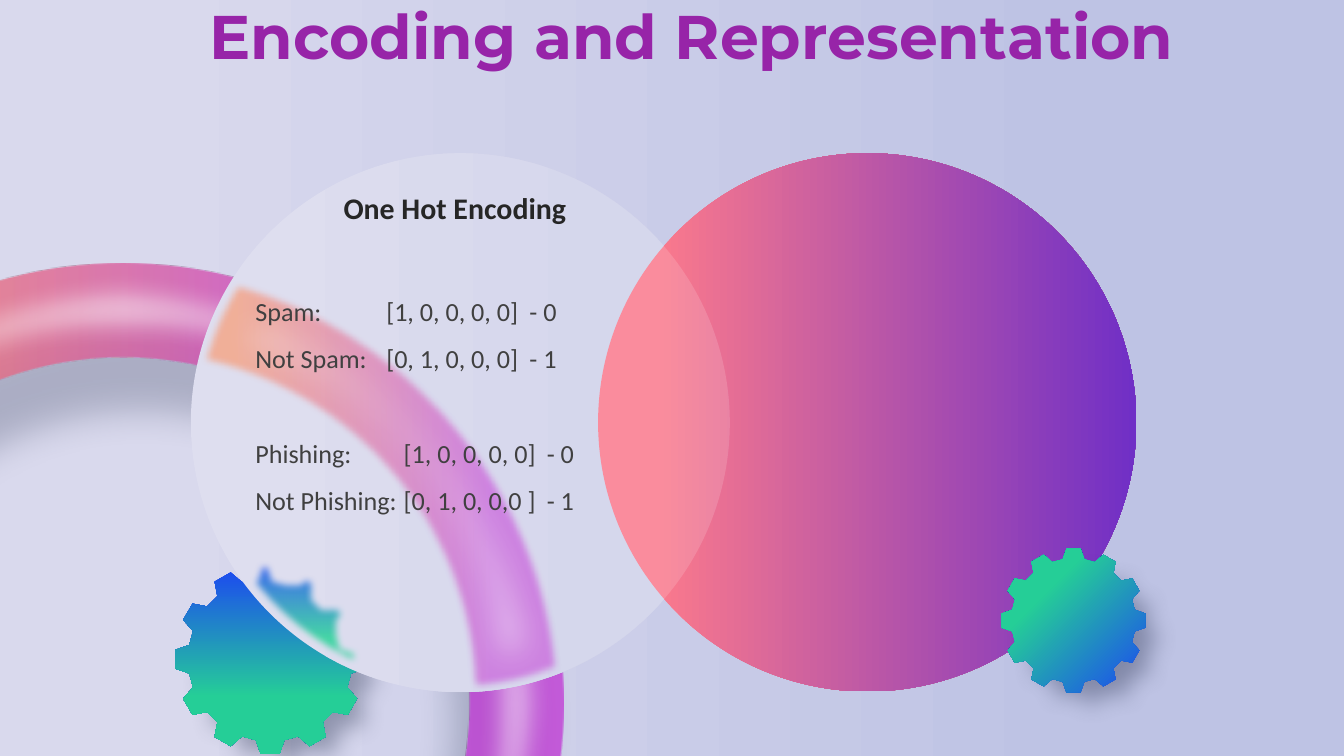
from collections import namedtuple
from math import cos, radians, sin

from lxml.etree import SubElement
from pptx import Presentation
from pptx.dml.color import RGBColor
from pptx.enum.shapes import MSO_SHAPE
from pptx.enum.text import MSO_ANCHOR, MSO_AUTO_SIZE, PP_ALIGN
from pptx.oxml.ns import qn
from pptx.util import Inches, Pt

Box = namedtuple("Box", "left top width height")
Shadow = namedtuple("Shadow", "color opacity blur distance angle scale")

COLUMNS, ROWS = 20, 11.25
CELL = Inches(1)

WHITE = RGBColor(0xFF, 0xFF, 0xFF)
BLACK = RGBColor(0x00, 0x00, 0x00)
GRAY = RGBColor(0x40, 0x40, 0x40)
PURPLE = RGBColor(0x97, 0x24, 0xA8)
NAVY = RGBColor(0x28, 0x32, 0x50)
MIST = ((11, RGBColor(0xD9, 0xD9, 0xED)), (80, RGBColor(0xBE, 0xC3, 0xE4)))
FROST = ((11, RGBColor(0xD9, 0xD9, 0xED)), (80, RGBColor(0xCE, 0xD0, 0xE9)))
SUNSET = ((11, RGBColor(0xF9, 0x86, 0x57)), (80, RGBColor(0xC1, 0x3C, 0xD5)))
BERRY = ((11, RGBColor(0xFA, 0x79, 0x8C)), (100, RGBColor(0x70, 0x2F, 0xC6)))
OCEAN = ((0, RGBColor(0x1C, 0x46, 0xF2)), (70, RGBColor(0x25, 0xCE, 0x97)))
RING_SHADOW = Shadow(NAVY, 33, 39, 29, 45, 90)
GEAR_SHADOW = Shadow(NAVY, 40, 25, 27, 45, 90)

TEETH = 12
TOOTH = ((-10, 0.86), (-5.6, 1), (5.6, 1), (10, 0.86))
RING_THICKNESS = 0.107
GROUP_GAP = 51.3
GROUP_INDENTS = (0, 0, 0.26, 0.26)
LABELS = ("Spam:", "Not Spam:", "Phishing:", "Not Phishing:")
VECTORS = ("[1, 0, 0, 0, 0]", "[0, 1, 0, 0, 0]", "[1, 0, 0, 0, 0]", "[0, 1, 0, 0,0 ]")
CLASSES = ("- 0", "- 1", "- 0", "- 1")


def lengths(box):
    return [int(value * CELL) for value in box]


def inset(box, margin):
    return Box(box.left + margin, box.top + margin,
               box.width - 2 * margin, box.height - 2 * margin)


def shift(box, right, down):
    return box._replace(left=box.left + right, top=box.top + down)


def on_circle(box, angle, share=1):
    radius = box.width / 2 * share
    return (box.left + box.width / 2 + radius * sin(radians(angle)),
            box.top + box.height / 2 - radius * cos(radians(angle)))


def arc(box, start, end, share=1, steps=40):
    return [on_circle(box, start + (end - start) * step / steps, share)
            for step in range(steps + 1)]


def gear_points(box):
    return [on_circle(box, tooth * 360 / TEETH + angle, share)
            for tooth in range(TEETH) for angle, share in TOOTH]


def paint_gradient(fill, stops, angle=0):
    fill.gradient()
    fill.gradient_angle = -angle % 360
    for stop, (position, color) in zip(fill.gradient_stops, stops):
        stop.color.rgb = color
        stop.position = position / 100


def add_opacity(color_element, percent):
    SubElement(color_element, qn("a:alpha"), val=str(percent * 1000))


def style(shape, paint, angle=0, opacity=100, shadow=None, soft_edge=0):
    if isinstance(paint, RGBColor):
        shape.fill.solid()
        shape.fill.fore_color.rgb = paint
    else:
        paint_gradient(shape.fill, paint, angle)
    properties = shape.element.spPr
    if opacity < 100:
        for color in properties.iter(qn("a:srgbClr")):
            add_opacity(color, opacity)
    shape.line.fill.background()
    shape.shadow.inherit = False
    effects = properties.find(qn("a:effectLst"))
    if shadow:
        scale = str(shadow.scale * 1000)
        outer = SubElement(effects, qn("a:outerShdw"), blurRad=str(Pt(shadow.blur)),
                           dist=str(Pt(shadow.distance)), dir=str(shadow.angle * 60000),
                           sx=scale, sy=scale, algn="ctr", rotWithShape="0")
        color = SubElement(outer, qn("a:srgbClr"), val=str(shadow.color))
        add_opacity(color, shadow.opacity)
    if soft_edge:
        SubElement(effects, qn("a:softEdge"), rad=str(Pt(soft_edge)))


def add_preset(slide, kind, box, paint, **options):
    shape = slide.shapes.add_shape(kind, *lengths(box))
    style(shape, paint, **options)
    return shape


def add_outline(slide, points, paint, **options):
    start, *others = [lengths(point) for point in points]
    builder = slide.shapes.build_freeform(*start)
    builder.add_line_segments(others, close=True)
    style(builder.convert_to_shape(), paint, **options)


def add_ring(slide, box):
    ring = add_preset(slide, MSO_SHAPE.DONUT, box, SUNSET, opacity=78, shadow=RING_SHADOW)
    ring.adjustments[0] = RING_THICKNESS
    shine = add_preset(slide, MSO_SHAPE.DONUT, inset(box, 0.11), WHITE,
                       opacity=56, soft_edge=28)
    shine.adjustments[0] = 0.09


def add_gear(slide, box, angle):
    add_outline(slide, gear_points(box), OCEAN, angle=angle, shadow=GEAR_SHADOW)


def add_frosted_glass(slide, box, ring, gear):
    add_preset(slide, MSO_SHAPE.OVAL, box, FROST)
    band = (arc(ring, 14.5, 85.9)
            + arc(box, 157.7, 178, steps=8)
            + arc(ring, 87, 12.2, share=1 - 2 * RING_THICKNESS)
            + arc(box, 282.2, 302.8, steps=8))
    add_outline(slide, band, SUNSET, opacity=67, soft_edge=8)
    shine = [(x + 0.02, y + 0.04) for x, y in band]
    add_outline(slide, shine, WHITE, opacity=54, soft_edge=35)
    visible_teeth = gear_points(shift(gear, -0.07, -0.05))[:15]
    add_outline(slide, visible_teeth + arc(box, 203, 234.9, steps=8),
                OCEAN, angle=90, soft_edge=8)


def place_text(shape, box, text, font_name, size, color, bold, alignment):
    shape.left, shape.top, shape.width, shape.height = lengths(box)
    shape.element.getparent().append(shape.element)
    frame = shape.text_frame
    frame.text = text
    frame.word_wrap = True
    frame.auto_size = MSO_AUTO_SIZE.SHAPE_TO_FIT_TEXT
    frame.vertical_anchor = MSO_ANCHOR.TOP
    for paragraph in frame.paragraphs:
        paragraph.alignment = alignment
        paragraph.space_before = Pt(0)
        properties = paragraph.runs[0].font
        properties.name, properties.size, properties.bold = font_name, Pt(size), bold
        properties.color.rgb = color
        bullet_properties = paragraph._p.get_or_add_pPr()
        bullet_properties.set("marL", "0")
        bullet_properties.set("indent", "0")
        SubElement(bullet_properties, qn("a:buNone"))


def fill_column(shape, box, lines, indents):
    place_text(shape, box, "\n".join(lines), "Calibri", 28, GRAY, False, PP_ALIGN.LEFT)
    paragraphs = shape.text_frame.paragraphs
    for paragraph, indent in zip(paragraphs, indents):
        paragraph.line_spacing = 1.5
        paragraph._p.get_or_add_pPr().set("marL", str(Inches(indent)))
    paragraphs[2].space_before = Pt(GROUP_GAP)


def add_encodings(slide, placeholder, box):
    fill_column(placeholder, box._replace(width=2.4), LABELS, (0,) * len(LABELS))
    for lines, offset, width in ((VECTORS, 1.95, 2.6), (CLASSES, 4.08, 1.2)):
        column = shift(box, offset, 0)._replace(width=width)
        fill_column(slide.shapes.add_textbox(*lengths(column)), column, lines, GROUP_INDENTS)


def build_encoding_slide(presentation):
    slide = presentation.slides.add_slide(presentation.slide_layouts.get_by_name("Two Content"))
    paint_gradient(slide.background.fill, MIST)
    title, heading, encodings = list(slide.placeholders)[:3]

    ring = Box(-4.72, 3.92, 13.1, 13.1)
    gear = Box(2.6, 8.39, 2.84, 2.84)
    glass = Box(2.84, 2.28, 8.02, 8.02)
    add_ring(slide, ring)
    add_gear(slide, gear, 90)
    add_frosted_glass(slide, glass, ring, gear)
    add_preset(slide, MSO_SHAPE.OVAL, Box(8.9, 2.28, 8.01, 8.01), BERRY)
    add_gear(slide, Box(14.9, 8.16, 2.15, 2.15), 225)

    place_text(title, Box(2.83, -0.08, 14.92, 1.21), "Encoding and Representation",
               "Montserrat", 66, PURPLE, True, PP_ALIGN.CENTER)
    place_text(heading, Box(4.72, 2.77, 4.1, 0.64), "One Hot Encoding",
               "Calibri", 32, BLACK, True, PP_ALIGN.CENTER)
    add_preset(slide, MSO_SHAPE.OVAL, glass, WHITE, opacity=15)
    add_encodings(slide, encodings, Box(3.7, 4.11, 6.27, 3.56))


def main():
    presentation = Presentation()
    presentation.slide_width = int(COLUMNS * CELL)
    presentation.slide_height = int(ROWS * CELL)
    build_encoding_slide(presentation)
    presentation.save("out.pptx")


if __name__ == "__main__":
    main()
